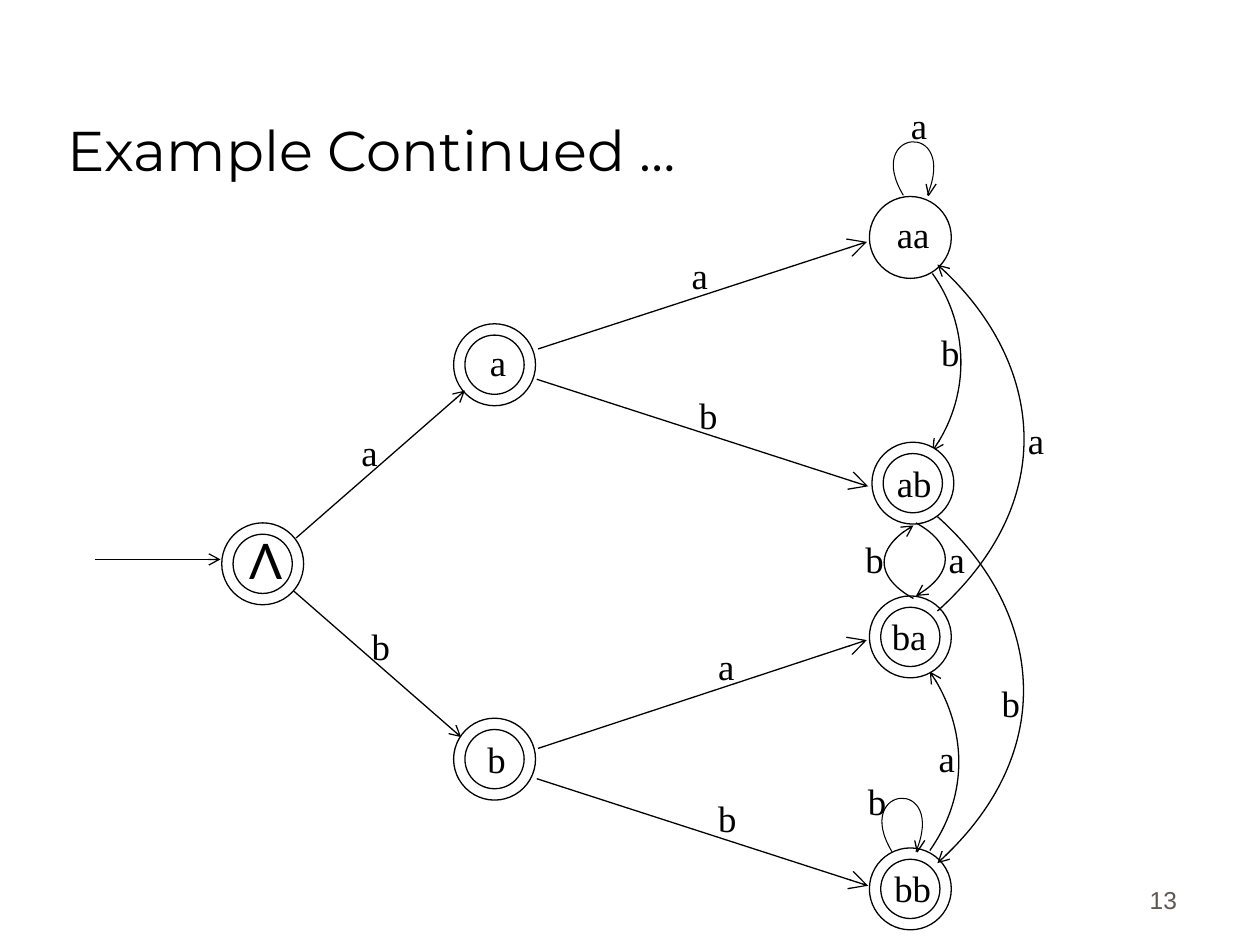
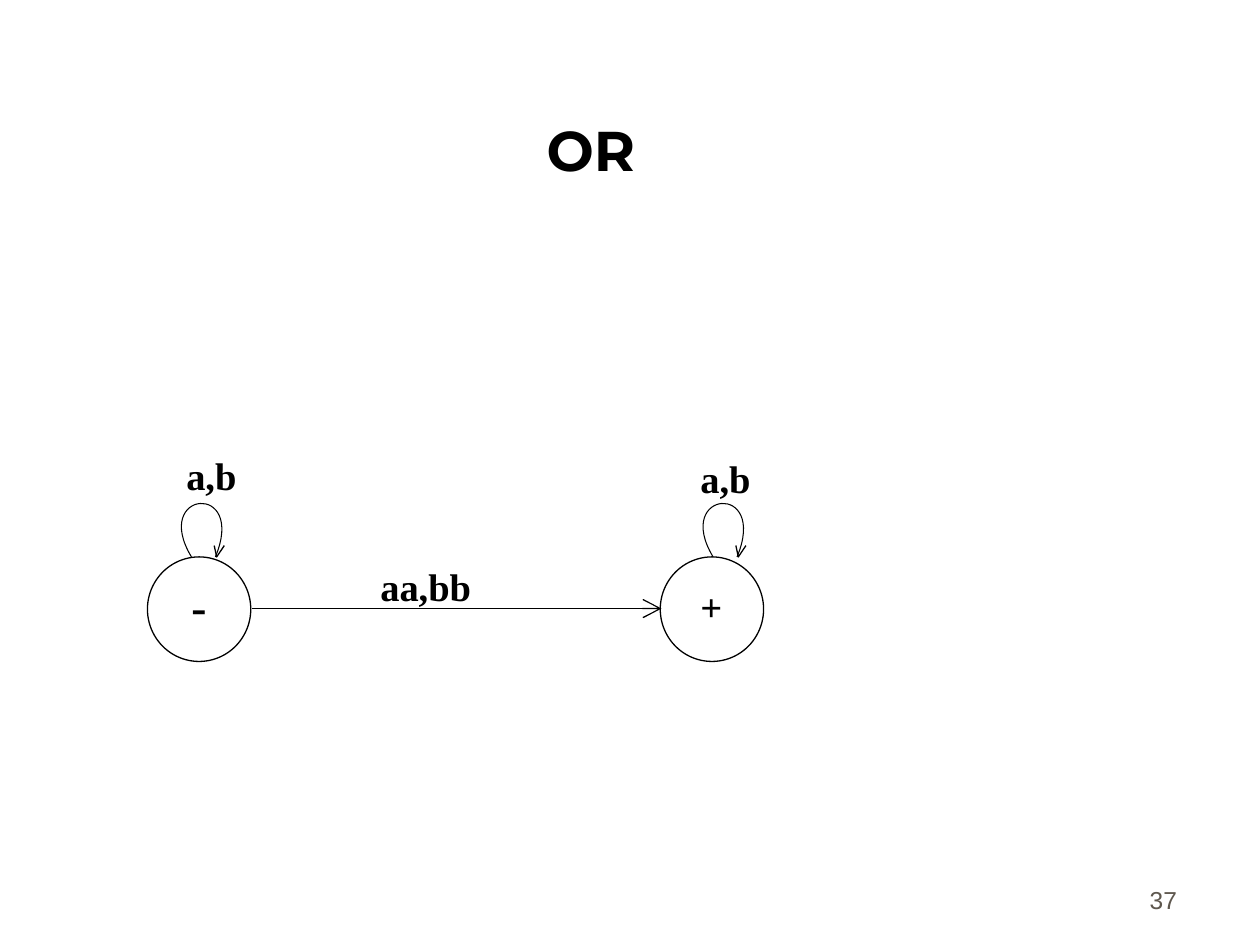
from dataclasses import dataclass

from lxml.etree import SubElement
from pptx import Presentation
from pptx.dml.color import RGBColor
from pptx.enum.shapes import MSO_CONNECTOR, MSO_SHAPE
from pptx.enum.text import MSO_ANCHOR, PP_ALIGN
from pptx.oxml.ns import qn
from pptx.shapes.base import BaseShape
from pptx.slide import Slide
from pptx.util import Emu, Pt

PX = 9144
Point = tuple[int, int]


@dataclass(frozen=True)
class TextStyle:
    font: str
    size: int
    color: RGBColor
    bold: bool = False
    align: PP_ALIGN = PP_ALIGN.LEFT
    anchor: MSO_ANCHOR = MSO_ANCHOR.TOP
    wrap: bool = True


BLACK = RGBColor(0x00, 0x00, 0x00)


@dataclass(frozen=True)
class Theme:
    ink: RGBColor = BLACK
    paper: RGBColor = RGBColor(0xFF, 0xFF, 0xFF)
    line: float = 0.75
    loop_line: float = 0.6
    title: TextStyle = TextStyle("Montserrat", 32, BLACK, anchor=MSO_ANCHOR.BOTTOM)
    centred_title: TextStyle = TextStyle(
        "Montserrat", 32, BLACK, True, PP_ALIGN.CENTER, MSO_ANCHOR.BOTTOM
    )
    number: TextStyle = TextStyle(
        "Arial", 14, RGBColor(0x5E, 0x57, 0x4E), False, PP_ALIGN.RIGHT, MSO_ANCHOR.BOTTOM
    )
    label: TextStyle = TextStyle("Times New Roman", 21, BLACK)
    bold_label: TextStyle = TextStyle("Times New Roman", 22, BLACK, True)
    minus: TextStyle = TextStyle("Times New Roman", 26, BLACK, True)
    empty_word: TextStyle = TextStyle("Lato", 28, BLACK, align=PP_ALIGN.CENTER, wrap=False)


THEME = Theme()


@dataclass(frozen=True)
class Label:
    text: str
    left: int
    top: int
    style: TextStyle = THEME.label
    width: int = 98
    height: int = 68


@dataclass(frozen=True)
class State:
    left: int
    top: int
    label: Label
    accepting: bool = True
    width: int = 65
    height: int = 65


@dataclass(frozen=True)
class Edge:
    start: Point
    end: Point
    arrow_size: str = "med"


@dataclass(frozen=True)
class Arc:
    start: Point
    controls: tuple[Point, Point]
    end: Point


INNER_INSET = 9
LOOP_CURVE = ((0, 0), (-32, -53), (44, -60), (19, 0))
LOOP_ARROWHEAD = ((26, -9), (20, 0), (18, -9))

WORD_STATES = [
    State(176, 415, Label("Λ", 188, 416, THEME.empty_word, 43, 57)),
    State(360, 257, Label("a", 379, 265)),
    State(360, 570, Label("b", 377, 580)),
    State(690, 156, Label("aa", 702, 163), accepting=False),
    State(692, 351, Label("ab", 702, 361)),
    State(690, 473, Label("ba", 698, 482)),
    State(690, 673, Label("bb", 700, 682)),
]
WORD_EDGES = [
    Edge((75, 444), (175, 444)),
    Edge((235, 427), (369, 310)),
    Edge((233, 469), (366, 585)),
    Edge((427, 277), (688, 192), "lg"),
    Edge((426, 301), (689, 386), "lg"),
    Edge((427, 594), (688, 508), "lg"),
    Edge((426, 618), (689, 703), "lg"),
]
AA_TO_AB = Arc((740, 217), ((766, 253), (773, 312)), (740, 358))
WORD_ARCS = [
    Arc((738, 675), ((771, 628), (764, 570)), (738, 533)),
    Arc((744, 410), ((824, 481), (844, 595)), (744, 685)),
    Arc((744, 485), ((844, 395), (824, 281)), (744, 210)),
    Arc((727, 415), ((754, 430), (760, 454)), (727, 473)),
    Arc((725, 475), ((698, 460), (692, 436)), (725, 417)),
]
WORD_LOOPS = [(717, 155), (708, 676)]
WORD_LABELS = [
    Label("a", 277, 336),
    Label("b", 285, 490),
    Label("a", 539, 196),
    Label("b", 545, 307),
    Label("a", 560, 506),
    Label("b", 560, 627),
    Label("a", 713, 77),
    Label("b", 737, 257),
    Label("a", 806, 327),
    Label("b", 677, 421),
    Label("a", 743, 421),
    Label("b", 785, 535),
    Label("a", 735, 579),
    Label("b", 679, 613),
]

PAIR_STATES = [
    State(117, 442, Label("-", 142, 454, THEME.minus), False, 82, 83),
    State(524, 442, Label("+", 546, 458, THEME.bold_label), False, 82, 83),
]
PAIR_EDGE = Edge((200, 483), (525, 483), "lg")
PAIR_LOOPS = [(152, 442), (566, 442)]
PAIR_LABELS = [
    Label("a,b", 138, 354, THEME.bold_label),
    Label("aa,bb", 292, 442, THEME.bold_label),
    Label("a,b", 546, 356, THEME.bold_label),
]


def px(length: int) -> Emu:
    return Emu(length * PX)


def draw_label(slide: Slide, label: Label) -> None:
    style = label.style
    box = slide.shapes.add_textbox(
        px(label.left), px(label.top), px(label.width), px(label.height)
    )
    text_frame = box.text_frame
    text_frame.word_wrap = style.wrap
    text_frame.vertical_anchor = style.anchor
    text_frame.text = label.text
    paragraph = text_frame.paragraphs[0]
    paragraph.alignment = style.align
    font = paragraph.runs[0].font
    font.name = style.font
    font.size = Pt(style.size)
    font.bold = style.bold
    font.color.rgb = style.color


def draw_circle(slide: Slide, left: int, top: int, width: int, height: int) -> None:
    circle = slide.shapes.add_shape(
        MSO_SHAPE.OVAL, px(left), px(top), px(width), px(height)
    )
    circle.shadow.inherit = False
    circle.fill.solid()
    circle.fill.fore_color.rgb = THEME.paper
    circle.line.color.rgb = THEME.ink
    circle.line.width = Pt(THEME.line)


def draw_state(slide: Slide, state: State) -> None:
    draw_circle(slide, state.left, state.top, state.width, state.height)
    if state.accepting:
        draw_circle(
            slide,
            state.left + INNER_INSET,
            state.top + INNER_INSET,
            state.width - 2 * INNER_INSET,
            state.height - 2 * INNER_INSET,
        )
    draw_label(slide, state.label)


def add_arrowhead(shape: BaseShape, size: str) -> None:
    outline = shape.element.spPr.find(qn("a:ln"))
    SubElement(outline, qn("a:tailEnd"), type="arrow", w=size, len=size)


def draw_edge(slide: Slide, edge: Edge) -> None:
    connector = slide.shapes.add_connector(
        MSO_CONNECTOR.STRAIGHT, *map(px, edge.start + edge.end)
    )
    connector.line.color.rgb = THEME.ink
    connector.line.width = Pt(THEME.line)
    add_arrowhead(connector, edge.arrow_size)
    SubElement(connector.element.spPr, qn("a:effectLst"))


def draw_outline(slide: Slide, points: list[Point], width: float) -> BaseShape:
    builder = slide.shapes.build_freeform(*points[0], scale=PX)
    builder.add_line_segments(points[1:], close=False)
    shape = builder.convert_to_shape()
    shape.shadow.inherit = False
    shape.fill.background()
    shape.line.color.rgb = THEME.ink
    shape.line.width = Pt(width)
    return shape


def draw_curve(slide: Slide, points: list[Point], width: float) -> BaseShape:
    shape = draw_outline(slide, points, width)
    outline = next(shape.element.iter(qn("a:path")))
    segments = outline.findall(qn("a:lnTo"))
    curve = SubElement(outline, qn("a:cubicBezTo"))
    for segment in segments:
        curve.append(segment[0])
        outline.remove(segment)
    return shape


def draw_arc(slide: Slide, arc: Arc) -> None:
    shape = draw_curve(slide, [arc.start, *arc.controls, arc.end], THEME.line)
    add_arrowhead(shape, "med")


def draw_loop(slide: Slide, origin: Point) -> None:
    def placed(points: tuple[Point, ...]) -> list[Point]:
        return [(origin[0] + x, origin[1] + y) for x, y in points]

    draw_curve(slide, placed(LOOP_CURVE), THEME.loop_line)
    draw_outline(slide, placed(LOOP_ARROWHEAD), THEME.line)


def add_titled_slide(
    presentation: Presentation, title: str, style: TextStyle, number: str
) -> Slide:
    slide = presentation.slides.add_slide(presentation.slide_layouts[6])
    draw_label(slide, Label(number, 736, 681, THEME.number, 208, 50))
    draw_label(slide, Label(title, 44, 25, style, 850, 125))
    return slide


def build_word_slide(presentation: Presentation) -> None:
    slide = add_titled_slide(presentation, "Example Continued …", THEME.title, "13")
    draw_arc(slide, AA_TO_AB)
    for state in WORD_STATES:
        draw_state(slide, state)
    for edge in WORD_EDGES:
        draw_edge(slide, edge)
    for arc in WORD_ARCS:
        draw_arc(slide, arc)
    for origin in WORD_LOOPS:
        draw_loop(slide, origin)
    for label in WORD_LABELS:
        draw_label(slide, label)


def build_pair_slide(presentation: Presentation) -> None:
    slide = add_titled_slide(presentation, "OR", THEME.centred_title, "37")
    for state in PAIR_STATES:
        draw_state(slide, state)
    draw_edge(slide, PAIR_EDGE)
    for origin in PAIR_LOOPS:
        draw_loop(slide, origin)
    for label in PAIR_LABELS:
        draw_label(slide, label)


def main() -> None:
    presentation = Presentation()
    presentation.slide_width = px(1000)
    presentation.slide_height = px(750)
    build_word_slide(presentation)
    build_pair_slide(presentation)
    presentation.save("out.pptx")


if __name__ == "__main__":
    main()
